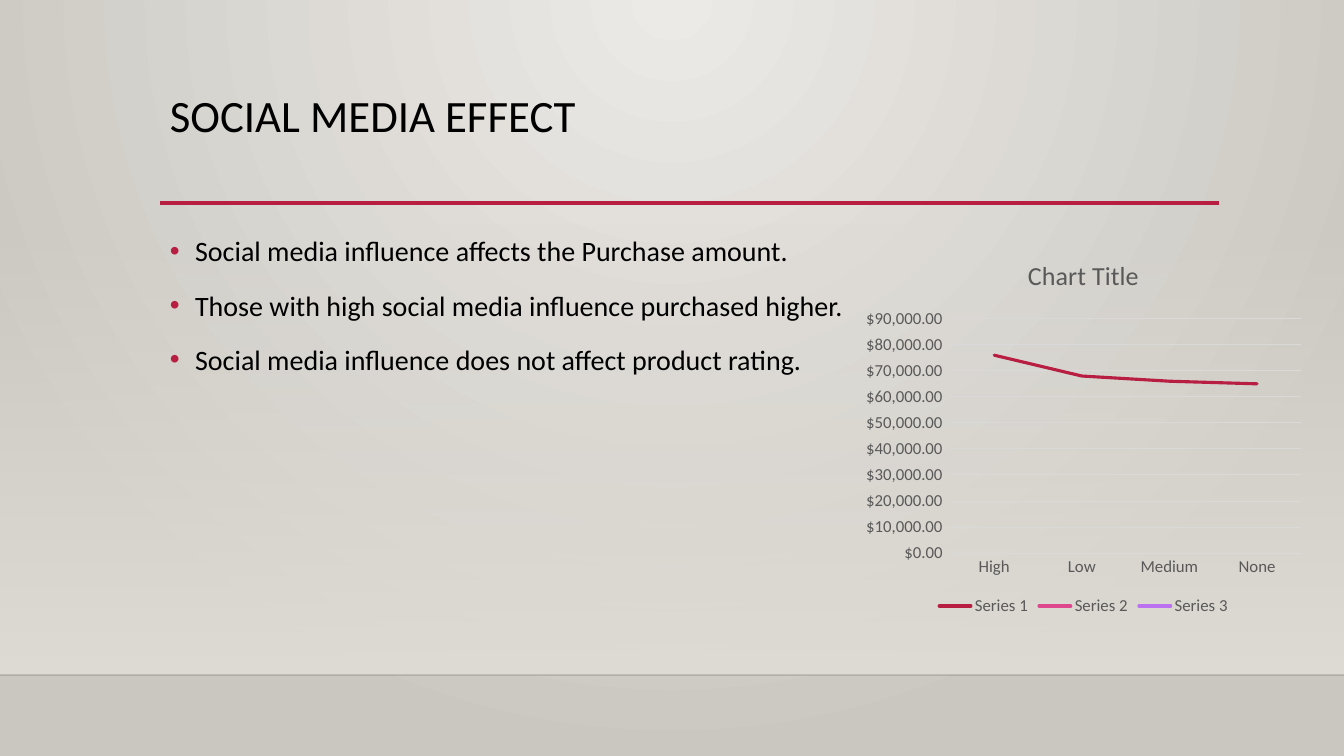
from lxml import etree
from pptx import Presentation
from pptx.chart.data import CategoryChartData
from pptx.dml.color import RGBColor
from pptx.enum.chart import XL_CHART_TYPE, XL_LEGEND_POSITION, XL_MARKER_STYLE, XL_TICK_MARK
from pptx.enum.shapes import MSO_CONNECTOR, MSO_SHAPE
from pptx.enum.text import MSO_ANCHOR
from pptx.oxml.ns import qn
from pptx.util import Emu, Pt

LINE_CHART = XL_CHART_TYPE.LINE
BOTTOM = XL_LEGEND_POSITION.BOTTOM
NO_MARKER = XL_MARKER_STYLE.NONE
NO_TICK = XL_TICK_MARK.NONE
STRAIGHT = MSO_CONNECTOR.STRAIGHT
RECT = MSO_SHAPE.RECTANGLE
TOP = MSO_ANCHOR.TOP

SCALE = 12192000 / 1344
ACCENT = "B71E42"
GREY = "595959"
GRID = "D9D9D9"


def px(n):
    return Emu(round(n * SCALE))


def rgb(value):
    return RGBColor.from_string(value)


prs = Presentation()
prs.slide_width, prs.slide_height = px(1344), px(756)
s = prs.slides.add_slide(prs.slide_layouts[6])

wall = s.shapes.add_shape(RECT, px(0), px(223), px(1344), px(452))
wall.shadow.inherit = False
wall.line.fill.background()

for fill, colors in ((s.background.fill, ("ECEAE7", "CAC7C1")),
                     (wall.fill, ("DFDBD5", "DFDBD5"))):
    fill.gradient()
    for stop, position, color in zip(fill.gradient_stops, (0, 1), colors):
        stop.position = position
        stop.color.rgb = rgb(color)

wall.fill.gradient_angle = 270
clear = wall._element.find(".//" + qn("a:srgbClr"))
etree.SubElement(clear, qn("a:alpha"), val="0")

grad = s.element.find(".//" + qn("p:bg")).find(".//" + qn("a:gradFill"))
grad.remove(grad.find(qn("a:lin")))
circle = etree.SubElement(grad, qn("a:path"), path="circle")
etree.SubElement(circle, qn("a:fillToRect"), l="43000", t="0", r="43000", b="100000")

for x1, x2, y, color, width, alpha in (
    (0, 1344, 675, "000001", 1, "20000"),
    (160, 1219, 203, ACCENT, 2.5, "100000"),
):
    rule = s.shapes.add_connector(STRAIGHT, px(x1), px(y), px(x2), px(y))
    rule.line.color.rgb = rgb(color)
    rule.line.width = Pt(width)
    etree.SubElement(rule._element.find(".//" + qn("a:srgbClr")), qn("a:alpha"), val=alpha)
    etree.SubElement(rule._element.spPr, qn("a:effectLst"))

bullets = (
    "Social media influence affects the Purchase amount.",
    "Those with high social media influence purchased higher.",
    "Social media influence does not affect product rating.",
)
for top, height, size, spacing, before, bulleted, lines in (
    (89, 116, 32, 0.9, 0, False, ("SOCIAL MEDIA EFFECT",)),
    (222, 380, 20, 1.2, 10, True, bullets),
):
    tf = s.shapes.add_textbox(px(160), px(top), px(1058), px(height)).text_frame
    tf.word_wrap = True
    tf.vertical_anchor = TOP
    for i, text in enumerate(lines):
        p = tf.add_paragraph() if i else tf.paragraphs[0]
        p.line_spacing = spacing
        p.space_before = Pt(before)
        r = p.add_run()
        r.text = text
        for name, value in {"name": "Calibri", "size": Pt(size)}.items():
            setattr(r.font, name, value)
        r.font.color.rgb = rgb("000000")
        if bulleted:
            pPr = p._p.get_or_add_pPr()
            pPr.set("marL", "228600")
            pPr.set("indent", "-228600")
            color = etree.SubElement(pPr, qn("a:buClr"))
            etree.SubElement(color, qn("a:srgbClr"), val=ACCENT)
            etree.SubElement(pPr, qn("a:buFont"), typeface="Arial")
            etree.SubElement(pPr, qn("a:buChar"), char="•")

data = CategoryChartData()
data.categories = ("High", "Low", "Medium", "None")
data.add_series("Series 1", (76000, 68000, 66000, 65000))
data.add_series("Series 2", (None, None, None, None))
data.add_series("Series 3", (0, None, None, None))
chart = s.shapes.add_chart(LINE_CHART, px(857), px(240), px(453), px(380), data).chart
chart.font.name = "Calibri"
chart.font.size = Pt(12)
chart.font.color.rgb = rgb(GREY)

chart.has_title = True
chart.chart_title.include_in_layout = False
p = chart.chart_title.text_frame.paragraphs[0]
r = p.add_run()
r.text = "Chart Title"
for name, value in {"name": "Calibri", "size": Pt(18.6), "bold": False}.items():
    setattr(r.font, name, value)
r.font.color.rgb = rgb(GREY)

chart.has_legend = True
chart.legend.position = BOTTOM
chart.legend.include_in_layout = False

plot = chart.plots[0]
plot.vary_by_categories = False
for series, color in zip(plot.series, (ACCENT, "DE478E", "BC72F0")):
    series.smooth = False
    series.marker.style = NO_MARKER
    series.format.line.color.rgb = rgb(color)
    series.format.line.width = Pt(2.25)
    series.format.line._ln.set("cap", "rnd")

for axis in (chart.category_axis, chart.value_axis):
    axis.major_tick_mark = NO_TICK
    axis.minor_tick_mark = NO_TICK

values = chart.value_axis
values.minimum_scale, values.maximum_scale, values.major_unit = 0, 90000, 10000
values.has_major_gridlines = True
values.format.line.fill.background()
values.tick_labels.number_format = r'"$"#,##0.00_);[Red]\("$"#,##0.00\)'
values.tick_labels.number_format_is_linked = False
for line in (values.major_gridlines.format.line, chart.category_axis.format.line):
    line.color.rgb = rgb(GRID)
    line.width = Pt(0.75)

prs.save("out.pptx")
